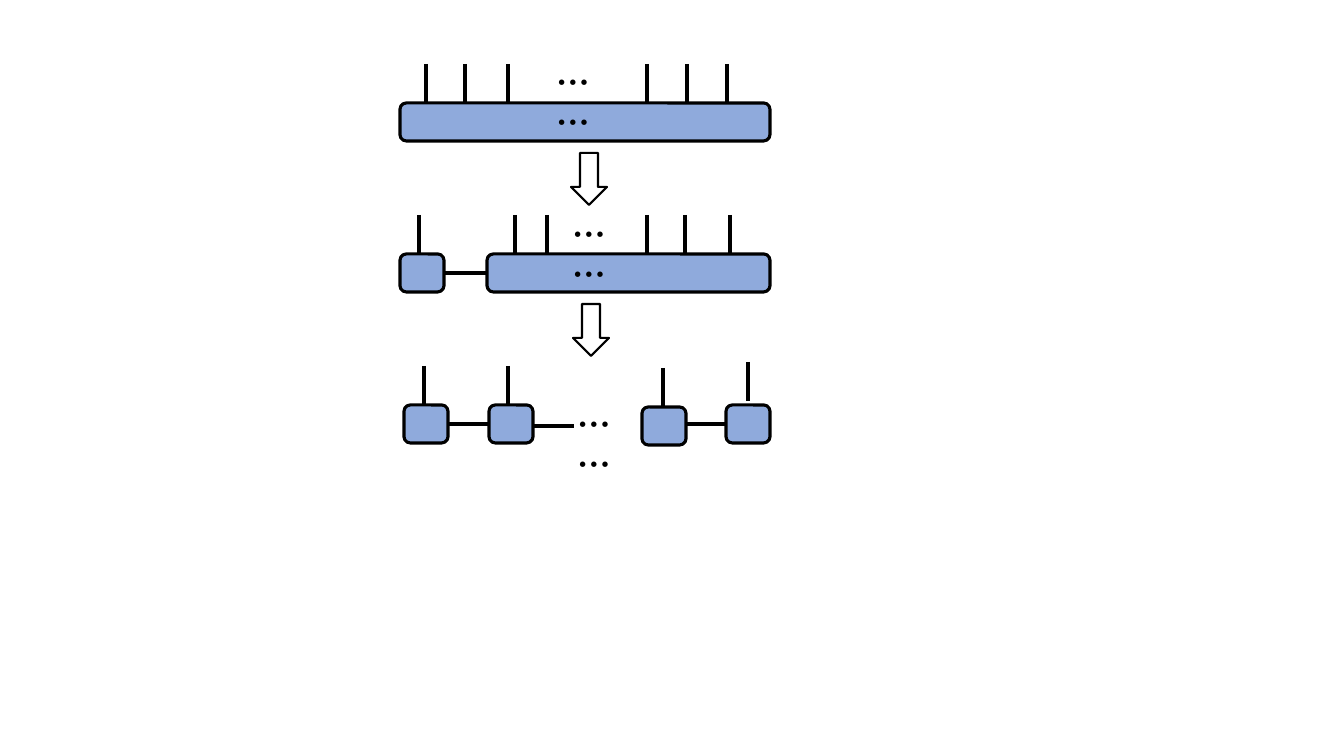
from dataclasses import dataclass

from lxml import etree
from pptx import Presentation
from pptx.dml.color import RGBColor
from pptx.enum.shapes import MSO_CONNECTOR, MSO_SHAPE
from pptx.enum.text import PP_ALIGN
from pptx.oxml.ns import qn
from pptx.util import Pt

ROUNDED = MSO_SHAPE.ROUNDED_RECTANGLE
DOWN_ARROW = MSO_SHAPE.DOWN_ARROW
STRAIGHT = MSO_CONNECTOR.STRAIGHT
LEFT = PP_ALIGN.LEFT

EMU_PER_PX = 914400 / 100.8
FONT = "Noto Sans CJK SC"
COLORS = {"tensor": "8FAADC", "ink": "000000", "paper": "FFFFFF"}
FIRST_TOP, ROW_PITCH = 103, 151
BLOCK_HEIGHT, SITE_WIDTH, STEM_LENGTH = 38, 44, 39
ARROW_WIDTH, ARROW_HEIGHT, ARROW_OFFSET = 36, 52, 50
DOTS_WIDTH, DOTS_HEIGHT = 86, 50


@dataclass(frozen=True)
class Block:
    left: int
    width: int = SITE_WIDTH
    drop: int = 0


@dataclass(frozen=True)
class Stem:
    x: int
    drop: int = 0


@dataclass(frozen=True)
class Link:
    start: int
    end: int
    drop: int = BLOCK_HEIGHT // 2


@dataclass(frozen=True)
class Row:
    blocks: list[Block]
    stems: list[Stem]
    links: list[Link]
    dots_left: int
    dots_rise: int
    arrow_left: int | None = None


ROWS = [
    Row([Block(400, 370)],
        [Stem(x) for x in (426, 465, 508, 647, 687, 727)],
        [], 547, 46, 571),
    Row([Block(400), Block(487, 283)],
        [Stem(x) for x in (419, 515, 547, 647, 685, 730)],
        [Link(444, 487)], 563, 45, 573),
    Row([Block(404), Block(489), Block(726), Block(642, drop=2)],
        [Stem(424), Stem(508), Stem(663, 2), Stem(748, -4)],
        [Link(448, 489), Link(533, 574, 21), Link(686, 726)], 568, 6),
]


def px(length: int) -> int:
    return round(length * EMU_PER_PX)


def color(name: str) -> RGBColor:
    return RGBColor.from_string(COLORS[name])


def draw_shape(page, kind, left: int, top: int, width: int, height: int,
               fill: str, weight: float) -> None:
    shape = page.shapes.add_shape(kind, px(left), px(top), px(width), px(height))
    shape.shadow.inherit = False
    shape.fill.solid()
    shape.fill.fore_color.rgb = color(fill)
    shape.line.color.rgb = color("ink")
    shape.line.width = Pt(weight)


def draw_line(page, x1: int, y1: int, x2: int, y2: int) -> None:
    line = page.shapes.add_connector(STRAIGHT, px(x1), px(y1), px(x2), px(y2))
    line.line.color.rgb = color("ink")
    line.line.width = Pt(2.25)
    etree.SubElement(line._element.spPr, qn("a:effectLst"))


def draw_dots(page, left: int, top: int) -> None:
    box = page.shapes.add_textbox(px(left), px(top), px(DOTS_WIDTH), px(DOTS_HEIGHT))
    box.text_frame.word_wrap = True
    para = box.text_frame.paragraphs[0]
    para.text = "……"
    para.alignment = LEFT
    para.line_spacing = Pt(28.8)
    para.font.name = FONT
    para.font.size = Pt(24)
    para.font.bold = True
    para.font.color.rgb = color("ink")
    east_asian = etree.SubElement(para.font._element, qn("a:ea"))
    east_asian.set("typeface", FONT)


def draw_row(page, row: Row, top: int) -> None:
    for block in row.blocks:
        draw_shape(page, ROUNDED, block.left, top + block.drop,
                   block.width, BLOCK_HEIGHT, "tensor", 2.25)
    for stem in row.stems:
        foot = top + stem.drop
        draw_line(page, stem.x, foot - STEM_LENGTH, stem.x, foot)
    for link in row.links:
        draw_line(page, link.start, top + link.drop, link.end, top + link.drop)
    draw_dots(page, row.dots_left, top - row.dots_rise)
    if row.arrow_left is not None:
        draw_shape(page, DOWN_ARROW, row.arrow_left, top + ARROW_OFFSET,
                   ARROW_WIDTH, ARROW_HEIGHT, "paper", 1.5)


def main() -> None:
    deck = Presentation()
    deck.slide_width, deck.slide_height = px(1344), px(756)
    page = deck.slides.add_slide(deck.slide_layouts[6])
    for index, row in enumerate(ROWS):
        draw_row(page, row, FIRST_TOP + index * ROW_PITCH)
    deck.save("out.pptx")


if __name__ == "__main__":
    main()
